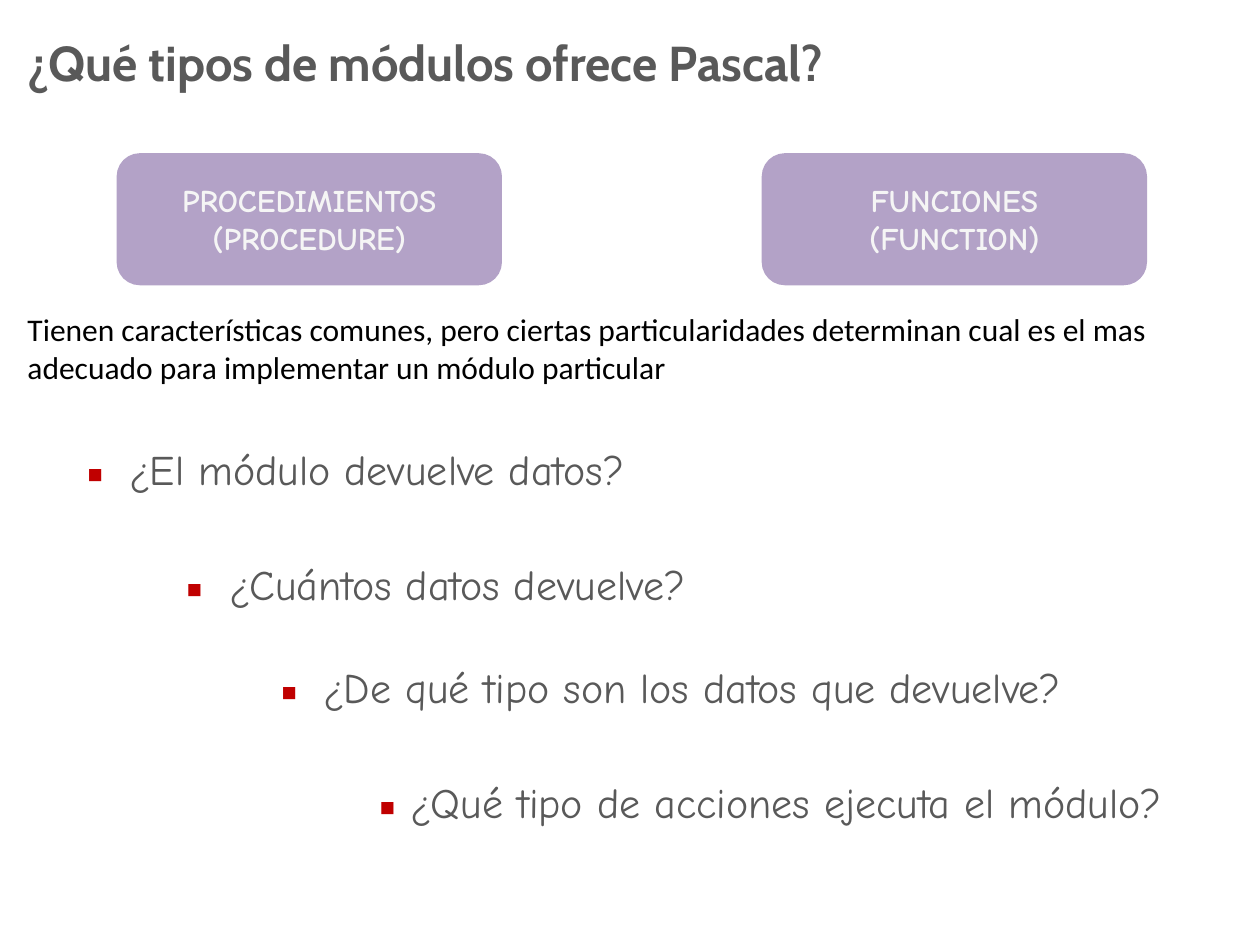
import pptx
import pptx.util
import pptx.dml.color
import pptx.enum.shapes
import pptx.enum.text
import pptx.oxml
import pptx.oxml.ns
from pptx.util import Inches

COLORS = {"gray": "595959", "red": "C00000", "purple": "B3A2C7",
          "light": "F5F5F5", "black": "000000"}


def format_font(paragraph, name, size, color, bold=False):
    paragraph.font.name = name
    paragraph.font.size = pptx.util.Pt(size)
    paragraph.font.bold = bold
    paragraph.font.color.rgb = pptx.dml.color.RGBColor.from_string(COLORS[color])


def add_square_bullet(paragraph, indent):
    """Give the paragraph a red square bullet with a hanging indent."""
    properties = paragraph._p.get_or_add_pPr()
    properties.set("marL", str(indent))
    properties.set("indent", str(-indent))
    namespace = pptx.oxml.ns.nsdecls("a")
    for xml in (
        f'<a:buClr {namespace}><a:srgbClr val="{COLORS["red"]}"/></a:buClr>',
        f'<a:buFont {namespace} typeface="Noto Sans Symbols"/>',
        f'<a:buChar {namespace} char="▪"/>',
    ):
        properties.append(pptx.oxml.parse_xml(xml))


presentation = pptx.Presentation()
presentation.slide_width = Inches(10)
presentation.slide_height = Inches(7.5)
slide = presentation.slides.add_slide(presentation.slide_layouts[5])

# Title
title = slide.shapes.title
title.left, title.top = Inches(0.12), Inches(0.21)
title.width, title.height = Inches(8.78), Inches(0.57)
title.text_frame.text = "¿Qué tipos de módulos ofrece Pascal?"
title.text_frame.vertical_anchor = pptx.enum.text.MSO_ANCHOR.TOP
title.text_frame.auto_size = pptx.enum.text.MSO_AUTO_SIZE.SHAPE_TO_FIT_TEXT
paragraph = title.text_frame.paragraphs[0]
paragraph.alignment = pptx.enum.text.PP_ALIGN.LEFT
format_font(paragraph, "Cabin", 28, "gray", bold=True)

# Module types
module_types = [
    (0.94, "PROCEDIMIENTOS\n(PROCEDURE)"),
    (6.06, "FUNCIONES\n(FUNCTION)"),
]
purple = pptx.dml.color.RGBColor.from_string(COLORS["purple"])
for left, text in module_types:
    shape = slide.shapes.add_shape(
        pptx.enum.shapes.MSO_SHAPE.ROUNDED_RECTANGLE,
        Inches(left), Inches(1.23), Inches(3.03), Inches(1.02))
    shape.shadow.inherit = False
    shape.fill.solid()
    shape.fill.fore_color.rgb = purple
    shape.line.color.rgb = purple
    shape.line.width = pptx.util.Pt(2)
    shape.text_frame.text = text
    shape.text_frame.vertical_anchor = pptx.enum.text.MSO_ANCHOR.MIDDLE
    for paragraph in shape.text_frame.paragraphs:
        paragraph.alignment = pptx.enum.text.PP_ALIGN.CENTER
        format_font(paragraph, "Comic Neue", 18, "light", bold=True)

# Explanation
explanation = slide.shapes.add_textbox(
    Inches(0.12), Inches(2.41), Inches(9.57), Inches(0.7))
explanation.text_frame.word_wrap = True
explanation.text_frame.text = (
    "Tienen características comunes, pero ciertas particularidades determinan "
    "cual es el mas adecuado para implementar un módulo particular")
format_font(explanation.text_frame.paragraphs[0], "Calibri", 18, "black")

# Staggered questions: left, top, width, indent, text
questions = [
    (0.59, 3.47, 4.72, 0.34, "¿El módulo devuelve datos?"),
    (1.38, 4.38, 5.43, 0.34, "¿Cuántos datos devuelve?"),
    (2.13, 5.2, 7.09, 0.34, "¿De qué tipo son los datos que devuelve?"),
    (2.91, 6.11, 6.81, 0.25, "¿Qué tipo de acciones ejecuta el módulo?"),
]
for left, top, width, indent, text in questions:
    question = slide.shapes.add_textbox(
        Inches(left), Inches(top), Inches(width), Inches(0.5))
    question.text_frame.word_wrap = True
    question.text_frame.text = text
    paragraph = question.text_frame.paragraphs[0]
    add_square_bullet(paragraph, Inches(indent))
    format_font(paragraph, "Comic Neue", 24, "gray")

presentation.save("out.pptx")
